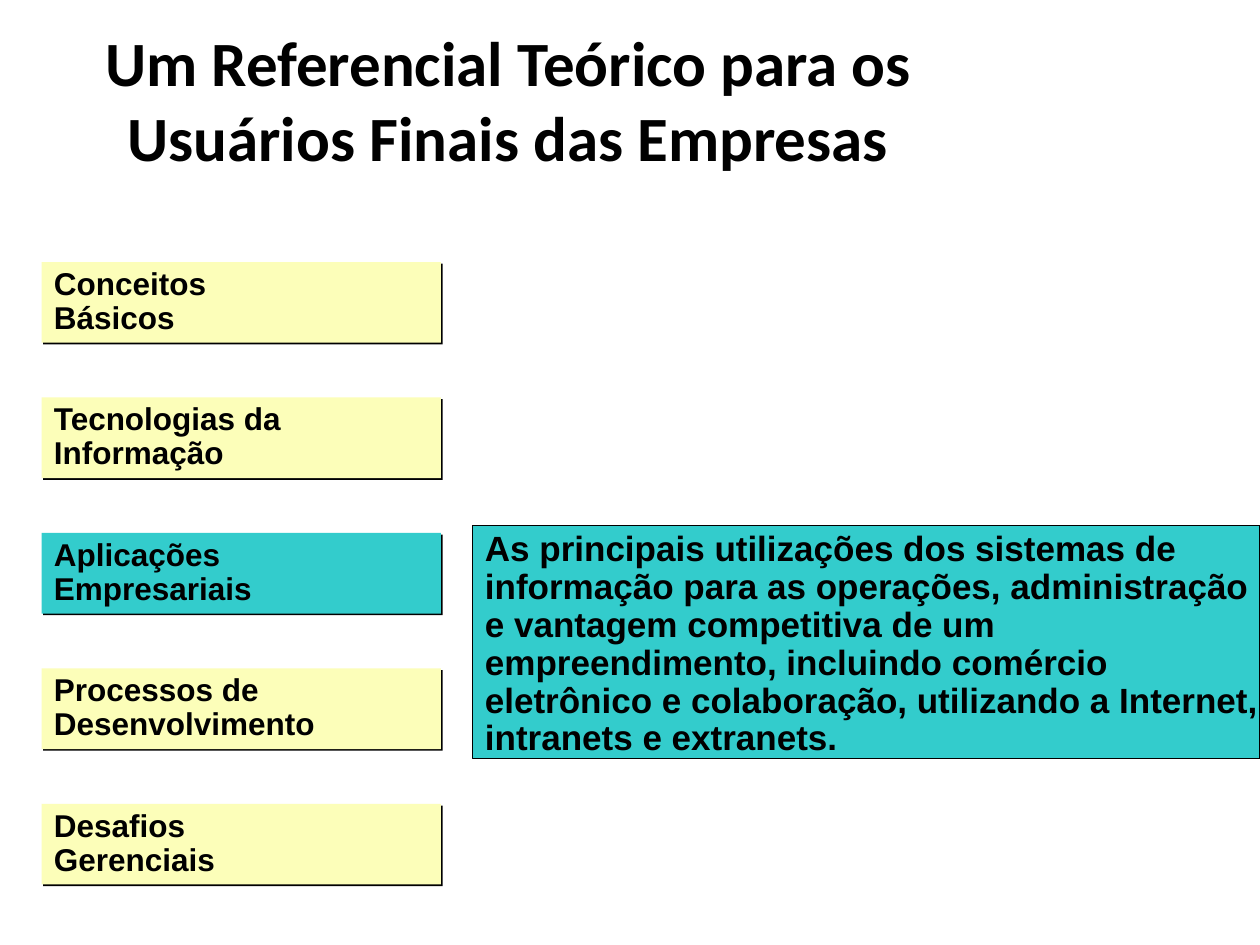
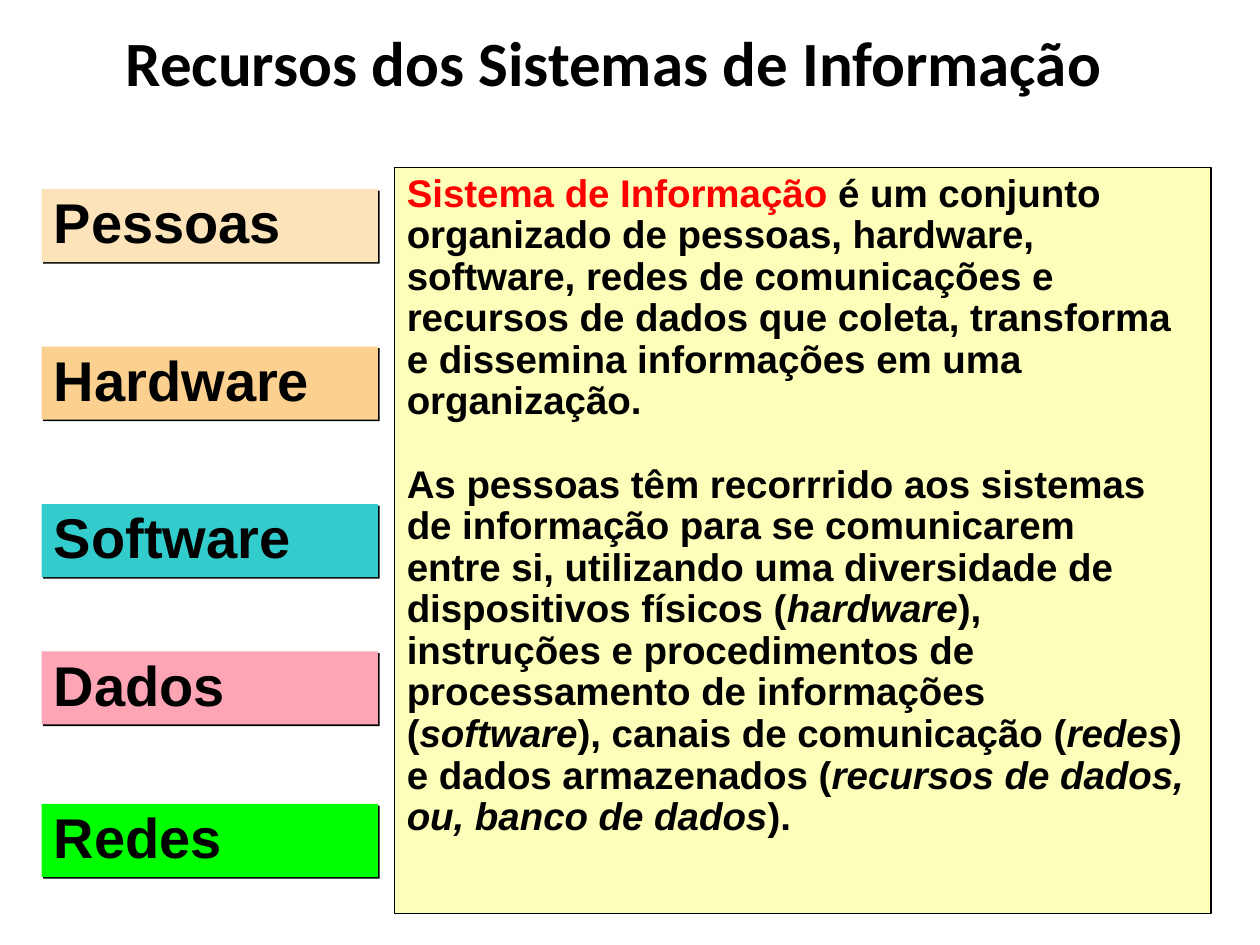
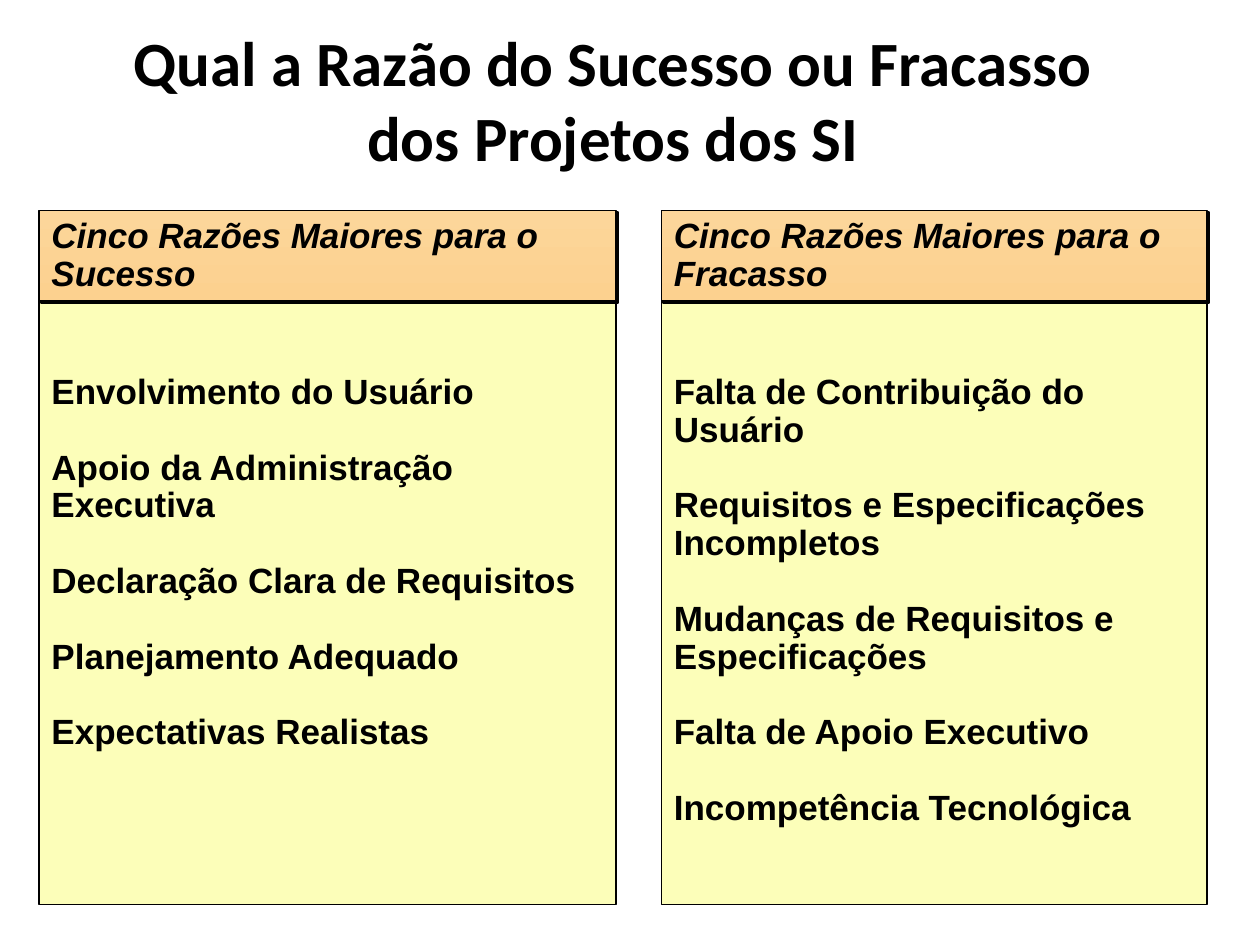
import pptx
import pptx.util
import pptx.dml.color
import pptx.enum.shapes
import pptx.enum.text
import pptx.oxml

Pt = pptx.util.Pt
ALIGN = pptx.enum.text.PP_ALIGN
ANCHOR = pptx.enum.text.MSO_ANCHOR
AUTO = pptx.enum.text.MSO_AUTO_SIZE

WIDTH, HEIGHT = pptx.util.Inches(10), pptx.util.Inches(7.5)
COL, ROW = WIDTH / 100, HEIGHT / 75
COLORS = {
    "text": "000000", "key": "FF0000", "yellow": "FCFEB9", "teal": "33CCCC",
    "cream": "FDE3BA", "orange": "FCD18F", "light orange": "FCD69A",
    "pink": "FDA4B5", "green": "00FF00",
}
LINE_SPACING = 0.9
LINE_PITCH = 1.08  # rendered line height as a share of the font size
SHADOW = (
    '<a:effectLst xmlns:a="http://schemas.openxmlformats.org/drawingml/2006/main">'
    '<a:outerShdw dist="17780" dir="2700000" algn="ctr" rotWithShape="0">'
    f'<a:srgbClr val="{COLORS["text"]}"/></a:outerShdw></a:effectLst>'
)


def rgb(name):
    return pptx.dml.color.RGBColor.from_string(COLORS[name])


def grid(box):
    """Turn left, top, width and height in columns and rows into lengths."""
    left, top, width, height = box
    return [round(n) for n in (left * COL, top * ROW, width * COL, height * ROW)]


def add_run(p, text, size, font="Arial", color="text", italic=False):
    r = p.add_run()
    r.text = text
    r.font.name, r.font.size = font, Pt(size)
    r.font.bold, r.font.italic = True, italic
    r.font.color.rgb = rgb(color)


def add_title(prs, box, lines):
    """Add a slide and fill its title; return the slide."""
    slide = prs.slides.add_slide(prs.slide_layouts[5])
    title = slide.shapes.title
    title.left, title.top, title.width, title.height = grid(box)
    tf = title.text_frame
    tf.auto_size = AUTO.NONE
    tf.vertical_anchor = ANCHOR.MIDDLE
    p = tf.paragraphs[0]
    p.alignment = ALIGN.CENTER
    for i, line in enumerate(lines):
        if i:
            p.add_line_break()
        add_run(p, line, 36, "Calibri")
    return slide


def add_box(slide, box, fill, outlined=True, shadow=False):
    sp = slide.shapes.add_shape(pptx.enum.shapes.MSO_SHAPE.RECTANGLE, *grid(box))
    sp.shadow.inherit = False
    if isinstance(fill, tuple):
        sp.fill.gradient()
        sp.fill.gradient_angle = 270
        for stop, color in zip(sp.fill.gradient_stops, fill):
            stop.color.rgb = rgb(color)
    else:
        sp.fill.solid()
        sp.fill.fore_color.rgb = rgb(fill)
    if outlined:
        sp.line.color.rgb = rgb("text")
        sp.line.width = Pt(1)
    else:
        sp.line.fill.background()
    if shadow:
        old = sp._element.spPr.find(pptx.oxml.ns.qn("a:effectLst"))
        old.getparent().replace(old, pptx.oxml.parse_xml(SHADOW))
    tf = sp.text_frame
    tf.word_wrap = False
    tf.vertical_anchor = ANCHOR.TOP
    return sp


def write_blocks(tf, blocks, size, align=ALIGN.LEFT, italic=False):
    """Write blocks of lines, one line's height apart.

    A line is a string, or a list of (text, run format) pairs.
    """
    p = None
    for block in blocks:
        for i, line in enumerate(block):
            new_block = p is not None and i == 0
            p = tf.paragraphs[0] if p is None else tf.add_paragraph()
            p.alignment = align
            p.line_spacing = LINE_SPACING
            if new_block:
                p.space_before = Pt(round(size * LINE_PITCH, 1))
            runs = [(line, {"italic": italic})] if isinstance(line, str) else line
            for text, style in runs:
                add_run(p, text, size, **style)


def add_labels(slide, labels, tops, width, height, size):
    """Stack shadowed labels, given as (lines, fill), down the left side."""
    for (lines, fill), top in zip(labels, tops):
        sp = add_box(slide, (3.3, top, width, height), fill, outlined=False, shadow=True)
        sp.text_frame.word_wrap = True
        sp.text_frame.auto_size = AUTO.SHAPE_TO_FIT_TEXT
        write_blocks(sp.text_frame, [lines], size)


def add_reasons(slide, left, top, width, heading, reasons):
    """Add a list panel with a heading band over its upper edge."""
    panel = add_box(slide, (left, top + 0.5, width, 54.6), "yellow")
    panel.text_frame.margin_top = round(12.5 * ROW)
    write_blocks(panel.text_frame, reasons, 20)
    band = add_box(slide, (left, top, width, 7.2), ("light orange", "orange"), shadow=True)
    band.text_frame.vertical_anchor = ANCHOR.MIDDLE
    write_blocks(band.text_frame, [heading], 20, italic=True)


def framework_slide(prs):
    slide = add_title(prs, (2.2, 1.6, 77.4, 12.5),
                      ["Um Referencial Teórico para os ", "Usuários Finais das Empresas "])
    labels = [
        (["Conceitos", "Básicos"], "yellow"),
        (["Tecnologias da", "Informação"], "yellow"),
        (["Aplicações", "Empresariais"], "teal"),
        (["Processos de", "Desenvolvimento"], "yellow"),
        (["Desafios", "Gerenciais"], "yellow"),
    ]
    tops = [20.8 + 10.75 * i for i in range(len(labels))]
    add_labels(slide, labels, tops, 31.7, 6.4, 18)
    detail = add_box(slide, (37.5, 41.7, 62.5, 18.5), "teal")
    write_blocks(detail.text_frame, [[
        "As principais utilizações dos sistemas de ",
        "informação para as operações, administração",
        "e vantagem competitiva de um ",
        "empreendimento, incluindo comércio ",
        "eletrônico e colaboração, utilizando a Internet,",
        "intranets e extranets.",
    ]], 20, ALIGN.JUSTIFY)


def resources_slide(prs):
    slide = add_title(prs, (2.2, 1.6, 93, 6.5), ["Recursos dos Sistemas de Informação"])
    labels = [(["Pessoas"], "cream"), (["Hardware"], "orange"), (["Software"], "teal"),
              (["Dados"], "pink"), (["Redes"], "green")]
    add_labels(slide, labels, [15, 27.5, 40, 51.7, 63.8], 26.7, 5.8, 32)
    definition = add_box(slide, (31.3, 13.3, 64.8, 59.2), "yellow")
    plain, italic = {}, {"italic": True}
    write_blocks(definition.text_frame, [
        [
            [("Sistema de Informação ", {"color": "key"}), ("é um conjunto", plain)],
            "organizado de pessoas, hardware,",
            "software, redes de comunicações e",
            "recursos de dados que coleta, transforma",
            "e dissemina informações em uma",
            "organização.",
        ],
        [
            "As pessoas têm recorrrido aos sistemas",
            "de informação para se comunicarem",
            "entre si, utilizando uma diversidade de",
            [("dispositivos físicos (", plain), ("hardware", italic), ("),", plain)],
            "instruções e procedimentos de",
            "processamento de informações",
            [("(", plain), ("software", italic), ("), canais de comunicação (", plain),
             ("redes", italic), (")", plain)],
            [("e dados armazenados (", plain), ("recursos de dados,", italic)],
            [("ou, banco de dados", italic), (").", plain)],
        ],
    ], 22)


def reasons_slide(prs):
    slide = add_title(prs, (2.3, 1.6, 92.7, 12.5),
                      ["Qual a Razão do Sucesso ou Fracasso", "dos Projetos dos SI"])
    add_reasons(slide, 3.1, 16.7, 45.8, ["Cinco Razões Maiores para o", "Sucesso"], [
        ["Envolvimento do Usuário"],
        ["Apoio da Administração", "Executiva"],
        ["Declaração Clara de Requisitos"],
        ["Planejamento Adequado"],
        ["Expectativas Realistas"],
    ])
    add_reasons(slide, 52.5, 16.7, 43.3, ["Cinco Razões Maiores para o", "Fracasso"], [
        ["Falta de Contribuição do", "Usuário"],
        ["Requisitos e Especificações", "Incompletos"],
        ["Mudanças de Requisitos e", "Especificações"],
        ["Falta de Apoio Executivo"],
        ["Incompetência Tecnológica"],
    ])


def main():
    prs = pptx.Presentation()
    prs.slide_width, prs.slide_height = WIDTH, HEIGHT
    framework_slide(prs)
    resources_slide(prs)
    reasons_slide(prs)
    prs.save("out.pptx")


if __name__ == "__main__":
    main()
